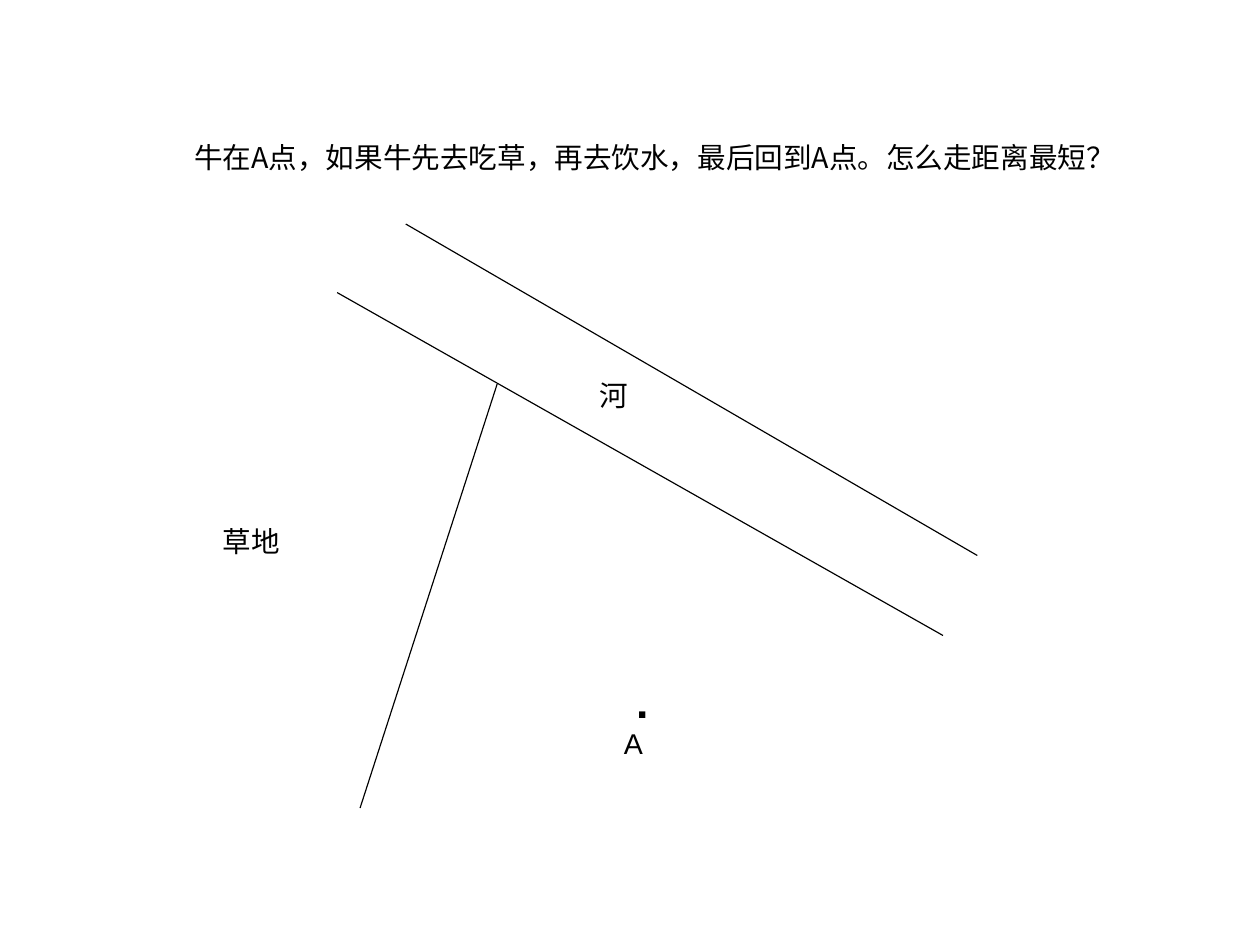
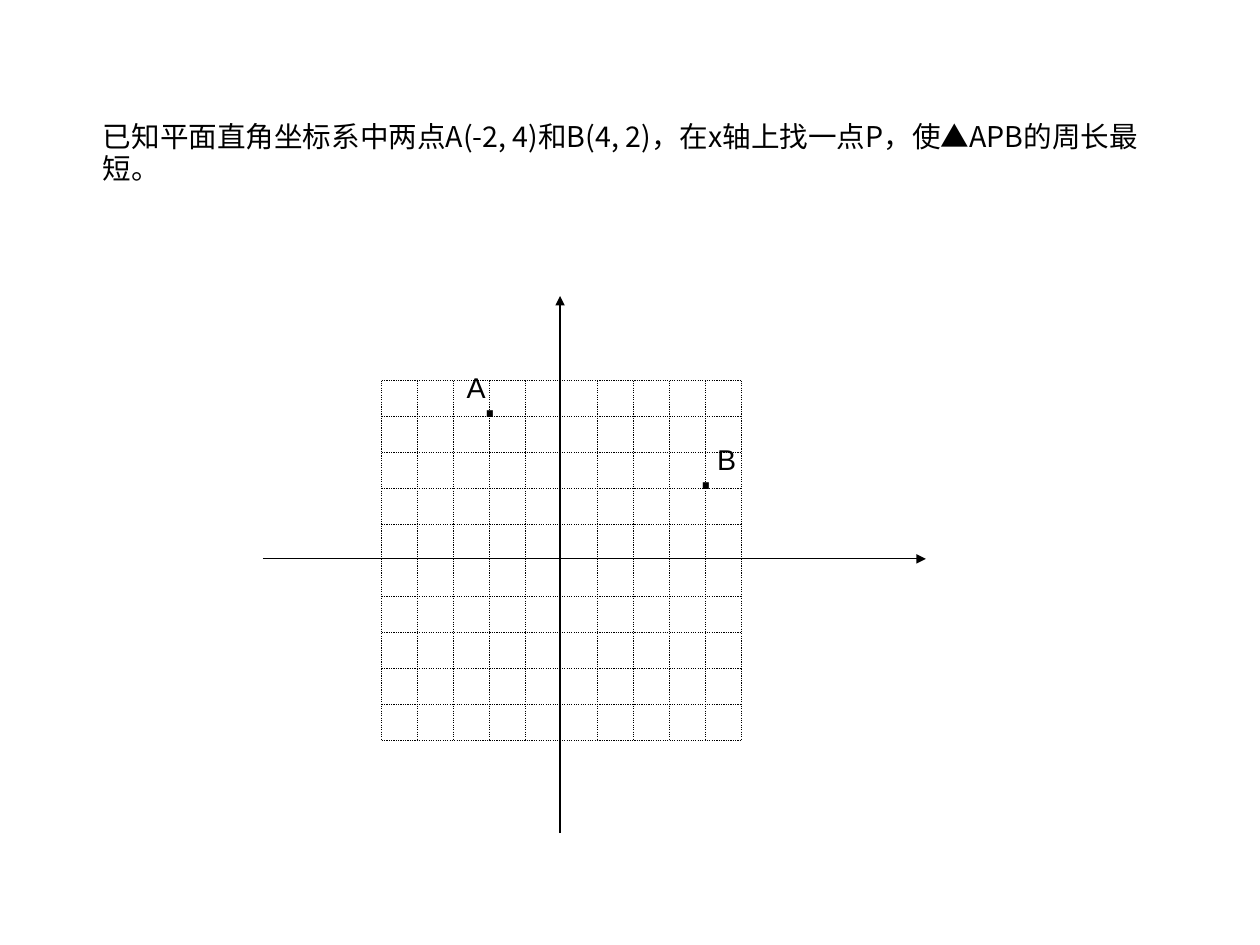
from lxml import etree
from pptx import Presentation
from pptx.dml.color import RGBColor
from pptx.enum.dml import MSO_LINE
from pptx.enum.shapes import MSO_CONNECTOR
from pptx.enum.text import MSO_ANCHOR, MSO_AUTO_SIZE, PP_ALIGN
from pptx.oxml.ns import qn
from pptx.util import Cm, Inches, Pt

STRAIGHT = MSO_CONNECTOR.STRAIGHT
DOTTED = MSO_LINE.ROUND_DOT
TOP = MSO_ANCHOR.TOP
LEFT = PP_ALIGN.LEFT
FIXED_SIZE = MSO_AUTO_SIZE.NONE

INK = "000000"
LATIN_FONT = "Arial"
CHINESE_FONT = "Noto Sans CJK SC"
TEXT_SIZE = 18
LINE_SPACING = 0.93
TITLE_ONLY = 5
INSET_X, INSET_Y = 0.1, 0.05


def color(hex_string):
    return RGBColor.from_string(hex_string)


def write_text(shape, text, *, size=TEXT_SIZE, font=CHINESE_FONT, bold=False, wrap=False):
    frame = shape.text_frame
    frame.auto_size = FIXED_SIZE
    frame.word_wrap = wrap
    frame.vertical_anchor = TOP
    frame.margin_left = frame.margin_right = Inches(INSET_X)
    frame.margin_top = frame.margin_bottom = Inches(INSET_Y)
    paragraph = frame.paragraphs[0]
    paragraph.alignment = LEFT
    paragraph.line_spacing = LINE_SPACING
    paragraph.space_before = Pt(0)
    run = paragraph.add_run()
    run.text = text
    run.font.size = Pt(size)
    run.font.bold = bold
    run.font.color.rgb = color(INK)
    run.font.name = font
    east_asian = etree.SubElement(run.font._element, qn("a:ea"))
    east_asian.set("typeface", font)


def add_label(slide, text, left, top, width=0.36, height=0.38, **text_format):
    box = slide.shapes.add_textbox(Inches(left), Inches(top), Inches(width), Inches(height))
    write_text(box, text, **text_format)


def add_line(slide, start, end, dash=None, arrow=False):
    line = slide.shapes.add_connector(STRAIGHT, *(Inches(value) for value in (*start, *end)))
    line.line.color.rgb = color(INK)
    line.line.width = Pt(0.75)
    if dash is not None:
        line.line.dash_style = dash
    properties = line._element.spPr
    if arrow:
        tail = etree.SubElement(properties.find(qn("a:ln")), qn("a:tailEnd"))
        tail.set("type", "triangle")
    etree.SubElement(properties, qn("a:effectLst"))


def add_point(slide, name, x, y, label_offset, size=40, bold=False):
    """Mark (x, y) with a full stop and set its name at an offset."""
    width = 2 * INSET_X + 0.27 * size / 72
    rise = INSET_Y + 0.87 * size / 72
    height = 2 * INSET_Y + 1.1 * size / 72
    add_label(slide, ".", x - width / 2, y - rise, width, height,
              size=size, font=LATIN_FONT, bold=bold)
    offset_x, offset_y = label_offset
    add_label(slide, name, x + offset_x, y + offset_y, font=LATIN_FONT)


def add_question_slide(presentation, question, left, top, height):
    slide = presentation.slides.add_slide(presentation.slide_layouts[TITLE_ONLY])
    title = slide.shapes.title
    title.left, title.top = Inches(left), Inches(top)
    title.width, title.height = Inches(9.3), Inches(height)
    write_text(title, question, wrap=True)
    return slide


def draw_river_map(slide, left, top):
    banks_and_pasture_edge = [
        ((0.2, 5.11), (1.4, 1.4)),
        ((0, 0.6), (5.3, 3.6)),
        ((0.6, 0), (5.6, 2.9)),
    ]
    for line_ends in banks_and_pasture_edge:
        start, end = ((left + x, top + y) for x, y in line_ends)
        add_line(slide, start, end)
    add_label(slide, "河", left + 2.2, top + 1.32, width=0.45)
    add_label(slide, "草地", left - 1.1, top + 2.6, width=0.7)
    add_point(slide, "A", left + 2.67, top + 4.32, (-0.26, 0.05), size=28, bold=True)


def draw_coordinate_plane(slide, left, top, side, cells=10):
    cell = side / cells
    middle = cells // 2
    right, bottom = left + side, top + side
    axis_x, axis_y = left + 1.56, top + 1.56
    add_line(slide, (axis_x, bottom + 0.81), (axis_x, top - 0.74), arrow=True)
    add_line(slide, (left - 1.04, axis_y), (right + 1.61, axis_y), arrow=True)
    for index in range(cells + 1):
        if index == middle:
            continue
        x, y = left + index * cell, top + index * cell
        add_line(slide, (x, top), (x, bottom), DOTTED)
        add_line(slide, (left, y), (right, y), DOTTED)
    points = [("B", 4, 2, (0, -0.43)), ("A", -2, 4, (-0.3, -0.43))]
    for name, x, y, label_offset in points:
        add_point(slide, name, left + (middle + x) * cell,
                  top + (middle - y) * cell, label_offset)


def main():
    presentation = Presentation()
    presentation.slide_width = Cm(28)
    presentation.slide_height = Cm(21)

    river_slide = add_question_slide(
        presentation,
        "牛在A点，如果牛先去吃草，再去饮水，最后回到A点。怎么走距离最短？",
        left=1.6, top=1.2, height=0.38)
    draw_river_map(river_slide, left=2.95, top=1.96)

    plane_slide = add_question_slide(
        presentation,
        "已知平面直角坐标系中两点A(-2, 4)和B(4, 2)，在x轴上找一点P，使▲APB的周长最短。",
        left=0.8, top=1.02, height=0.66)
    draw_coordinate_plane(plane_slide, left=3.34, top=3.33, side=3.15)

    presentation.save("out.pptx")


if __name__ == "__main__":
    main()
